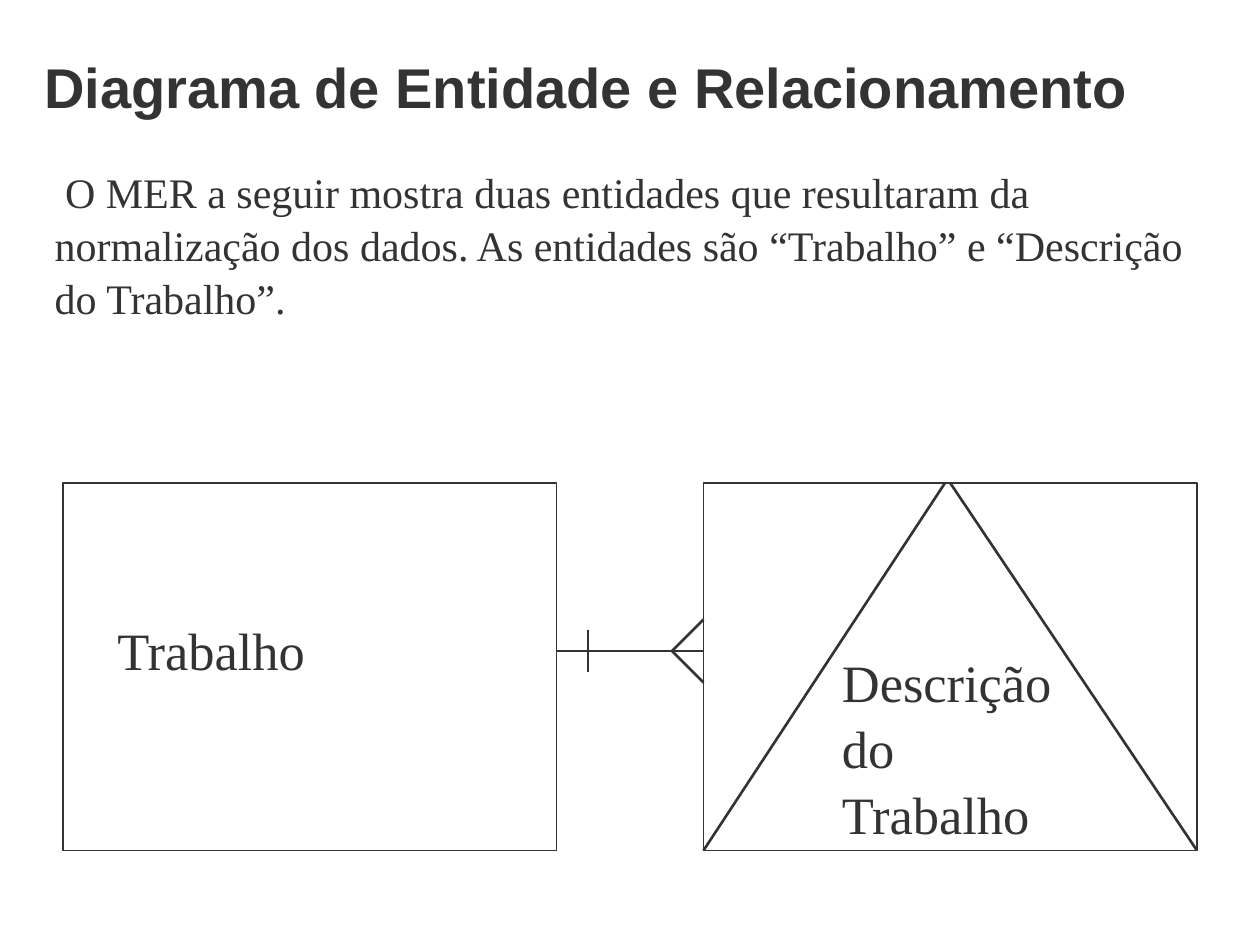
from dataclasses import dataclass

from lxml import etree
from pptx import Presentation
from pptx.dml.color import RGBColor
from pptx.enum.shapes import MSO_CONNECTOR, MSO_SHAPE
from pptx.enum.text import MSO_ANCHOR, MSO_AUTO_SIZE, PP_ALIGN
from pptx.oxml.ns import qn
from pptx.util import Pt

RECTANGLE = MSO_SHAPE.RECTANGLE
STRAIGHT = MSO_CONNECTOR.STRAIGHT
TOP, BOTTOM = MSO_ANCHOR.TOP, MSO_ANCHOR.BOTTOM
LEFT = PP_ALIGN.LEFT
NO_AUTOFIT = MSO_AUTO_SIZE.NONE


@dataclass(frozen=True)
class Theme:
    ink: RGBColor = RGBColor(0x33, 0x33, 0x33)
    title_font: str = "Arial"
    body_font: str = "Times New Roman"
    title_size: float = 32
    body_size: float = 24
    label_size: float = 30
    body_spacing: float = 1.05
    box_line: float = 1
    link_line: float = 1.5


@dataclass(frozen=True)
class Area:
    """A rectangle in points."""
    left: float
    top: float
    width: float
    height: float

    @property
    def right(self) -> float:
        return self.left + self.width

    @property
    def bottom(self) -> float:
        return self.top + self.height

    def lengths(self) -> tuple:
        return Pt(self.left), Pt(self.top), Pt(self.width), Pt(self.height)


@dataclass(frozen=True)
class Entity:
    area: Area
    label: str
    label_area: Area


@dataclass(frozen=True)
class Segment:
    x1: float
    y1: float
    x2: float
    y2: float


THEME = Theme()

WORK = Entity(Area(36, 276, 282, 210), "Trabalho", Area(60, 348, 222, 48))
DESCRIPTION = Entity(Area(402, 276, 282, 210), "Descrição do Trabalho",
                     Area(474, 366, 144, 108))


def write_text(shape, text: str, font: str, size: float, spacing: float = 1,
               bold: bool = False, anchor=TOP) -> None:
    frame = shape.text_frame
    frame.text = text
    frame.word_wrap = True
    frame.auto_size = NO_AUTOFIT
    frame.vertical_anchor = anchor
    para = frame.paragraphs[0]
    para.alignment = LEFT
    para.line_spacing = spacing
    para.space_before = Pt(0)
    span = para.runs[0]
    span.font.name = font
    span.font.size = Pt(size)
    span.font.bold = bold
    span.font.color.rgb = THEME.ink


def place(shape, area: Area) -> None:
    shape.left, shape.top, shape.width, shape.height = area.lengths()


def remove_bullet(para) -> None:
    properties = para._p.get_or_add_pPr()
    properties.set("marL", "0")
    properties.set("indent", "0")
    etree.SubElement(properties, qn("a:buNone"))


def draw_entity(group, entity: Entity) -> None:
    box = group.shapes.add_shape(RECTANGLE, *entity.area.lengths())
    box.shadow.inherit = False
    box.fill.background()
    box.line.color.rgb = THEME.ink
    box.line.width = Pt(THEME.box_line)
    label = group.shapes.add_textbox(*entity.label_area.lengths())
    write_text(label, entity.label, THEME.body_font, THEME.label_size,
               THEME.body_spacing)


def draw_segment(group, segment: Segment) -> None:
    line = group.shapes.add_connector(
        STRAIGHT, Pt(segment.x1), Pt(segment.y1), Pt(segment.x2), Pt(segment.y2))
    line.line.color.rgb = THEME.ink
    line.line.width = Pt(THEME.link_line)
    etree.SubElement(line._element.spPr, qn("a:effectLst"))


def triangle_sides(area: Area) -> list[Segment]:
    """Two sides that meet, with a small gap, at the top of the area."""
    return [Segment(540, area.top, area.left, area.bottom),
            Segment(543, area.top, area.right, area.bottom)]


def one_to_many(start: float, end: float, y: float) -> list[Segment]:
    """A link with a bar at its start and a crow's foot at its end."""
    reach, half_bar = 18, 12
    return [Segment(start, y, end, y),
            Segment(start + reach, y - half_bar, start + reach, y + half_bar),
            *(Segment(end - reach, y, end, y + rise) for rise in (-reach, reach))]


def main() -> None:
    deck = Presentation()
    deck.slide_width, deck.slide_height = Pt(720), Pt(540)
    page = deck.slides.add_slide(deck.slide_layouts[1])

    # Title and introduction
    title, body = page.shapes.title, page.placeholders[1]
    place(title, Area(18, 18, 678, 54))
    write_text(title, "Diagrama de Entidade e Relacionamento", THEME.title_font,
               THEME.title_size, bold=True, anchor=BOTTOM)
    place(body, Area(24, 90, 672, 162))
    write_text(body, " O MER a seguir mostra duas entidades que resultaram da "
               "normalização dos dados. As entidades são “Trabalho” e "
               "“Descrição do Trabalho”.", THEME.body_font, THEME.body_size,
               THEME.body_spacing)
    remove_bullet(body.text_frame.paragraphs[0])

    # Entities and their relationship
    diagram = page.shapes.add_group_shape()
    for entity in (DESCRIPTION, WORK):
        draw_entity(diagram, entity)
    link = one_to_many(WORK.area.right, DESCRIPTION.area.left, 372)
    for segment in triangle_sides(DESCRIPTION.area) + link:
        draw_segment(diagram, segment)

    deck.save("out.pptx")


if __name__ == "__main__":
    main()
